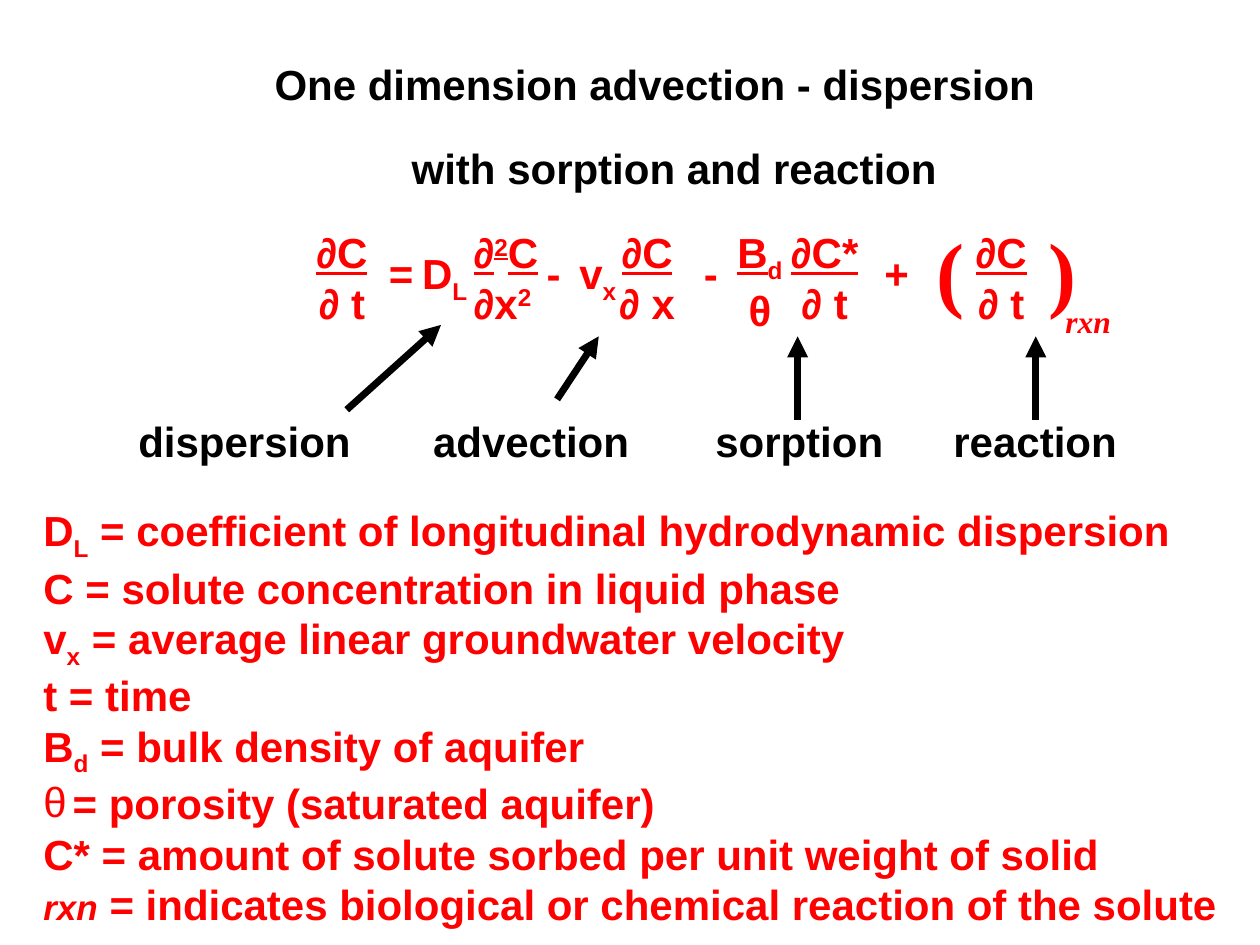
from lxml.etree import SubElement
from pptx import Presentation
from pptx.dml.color import RGBColor
from pptx.enum.shapes import MSO_CONNECTOR
from pptx.enum.text import MSO_ANCHOR, MSO_AUTO_SIZE, PP_ALIGN
from pptx.oxml.ns import qn
from pptx.util import Cm, Pt

INK = {"red": "FF0000", "black": "000000"}
BASE = {"sub": "-25000", "sup": "30000"}
LEFT, MID = PP_ALIGN.LEFT, PP_ALIGN.CENTER


def write(frame, rows, ink="red", size=24, face="Arial", align=LEFT):
    """Fill a frame; each row is a list of (text, marks) runs."""
    frame.vertical_anchor = MSO_ANCHOR.TOP
    for n, row in enumerate(rows):
        para = frame.paragraphs[0] if n == 0 else frame.add_paragraph()
        para.alignment = align
        para.space_before = Pt(0)
        for text, marks in row:
            run = para.add_run()
            run.text = text
            font = run.font
            font.name, font.bold = face, True
            font.size = Pt(20 if "small" in marks else size)
            font.italic = "ital" in marks
            font.underline = "line" in marks
            font.color.rgb = RGBColor.from_string(INK[ink])
            for key in BASE:
                if key in marks:
                    run._r.get_or_add_rPr().set("baseline", BASE[key])


def label(x, y, w, h, rows, **style):
    """Add a text box wide enough to hold each row on one line."""
    frame = slide.shapes.add_textbox(Cm(x), Cm(y), Cm(w), Cm(h)).text_frame
    frame.word_wrap = True
    frame.auto_size = MSO_AUTO_SIZE.NONE
    write(frame, rows, **style)


deck = Presentation()
deck.slide_width, deck.slide_height = Cm(25.4), Cm(19.05)
slide = deck.slides.add_slide(deck.slide_layouts[1])
title, body = slide.placeholders

# Title and its second line
title.left, title.top, title.width, title.height = Cm(5.28), Cm(1.05), Cm(16), Cm(1.27)
title.text_frame.word_wrap = True
title.text_frame.auto_size = MSO_AUTO_SIZE.NONE
write(title.text_frame, [[("One dimension advection - dispersion", "")]], ink="black")
label(8.05, 2.74, 11.3, 1.27, [[("with sorption and reaction", "")]], ink="black")

# Fractions of the equation
for x, w, top, low in [
    (6.07, 1.65, "∂C", "∂ t"),
    (12.17, 1.75, "∂C", "∂ x"),
    (15.62, 2.01, "∂C*", "∂ t"),
    (19.36, 1.65, "∂C", "∂ t"),
]:
    label(x, 4.45, w, 2.29, [[(top, "line")], [(low, "")]], align=MID)
label(9.3, 4.45, 1.95, 2.29, [
    [("∂", "line"), ("2", "line sup"), ("C", "line")],
    [("∂x", ""), ("2", "sup")],
])
label(14.56, 4.45, 1.52, 2.44, [[("B", "line"), ("d", "sub")], [("θ", "")]], align=MID)

# Factors and signs
for x, w, name, sub in [(8.26, 1.55, "D", "L"), (11.43, 1.4, "v", "x")]:
    label(x, 4.87, w, 1.42, [[(name, ""), (sub, "sub")]])
for x, w, sign in [(7.59, 1.1, "="), (10.77, 0.9, "-"), (13.94, 0.9, "-"), (17.58, 1.1, "+")]:
    label(x, 4.87, w, 1.27, [[(sign, "")]])

# Brackets around the reaction term
for x, sign in [(18.62, "("), (20.88, ")")]:
    label(x, 4.29, 1.2, 2.29, [[(sign, "")]], size=48, face="Times New Roman")
label(21.23, 5.97, 1.6, 1.02, [[("rxn", "ital")]], size=18, face="Times New Roman")

# Term names, each with an arrow up to its term
for x, w, name, start, end in [
    (2.54, 5, "dispersion", (6.99, 8.26), (8.89, 6.55)),
    (8.48, 4.7, "advection", (11.23, 8.05), (12.07, 6.78)),
    (14.17, 4.1, "sorption", (16.08, 8.46), (16.08, 6.78)),
    (18.97, 4, "reaction", (20.88, 8.46), (20.88, 6.78)),
]:
    label(x, 8.26, w, 1.27, [[(name, "")]], ink="black")
    ends = [Cm(v) for v in start + end]
    arrow = slide.shapes.add_connector(MSO_CONNECTOR.STRAIGHT, *ends)
    arrow.line.width = Pt(4)
    arrow.line.color.rgb = RGBColor.from_string(INK["black"])
    SubElement(arrow.line._get_or_add_ln(), qn("a:tailEnd"), type="triangle")
    SubElement(arrow._element.spPr, qn("a:effectLst"))

# Definitions
body.left, body.top, body.width, body.height = Cm(0.62), Cm(10.05), Cm(24.6), Cm(8.81)
frame = body.text_frame
frame.word_wrap = True
frame.auto_size = MSO_AUTO_SIZE.NONE
write(frame, [
    [("D", ""), ("L", "sub"), (" = coefficient of longitudinal hydrodynamic dispersion", "")],
    [("C = solute concentration in liquid phase", "")],
    [("v", ""), ("x", "sub"), (" = average linear groundwater velocity", "")],
    [("t = time", "")],
    [("B", ""), ("d", "sub"), (" = bulk density of aquifer", "")],
    [("= porosity (saturated aquifer)", "")],
    [("C* = amount of solute sorbed per unit weight of solid", "")],
    [("rxn", "ital small"), (" = indicates biological or chemical reaction of the solute", "")],
])

# Only the porosity line has a bullet, the symbol itself
for para in frame.paragraphs:
    props = para._p.get_or_add_pPr()
    mark = para.text.startswith("=")
    gap = Cm(0.59) if mark else 0
    props.set("marL", str(gap))
    props.set("indent", str(-gap))
    if mark:
        tint = SubElement(props, qn("a:buClr"))
        SubElement(tint, qn("a:srgbClr"), val=INK["red"])
        SubElement(props, qn("a:buFont"), typeface="Arial")
        SubElement(props, qn("a:buChar"), char="θ")
    else:
        SubElement(props, qn("a:buNone"))

deck.save("out.pptx")
